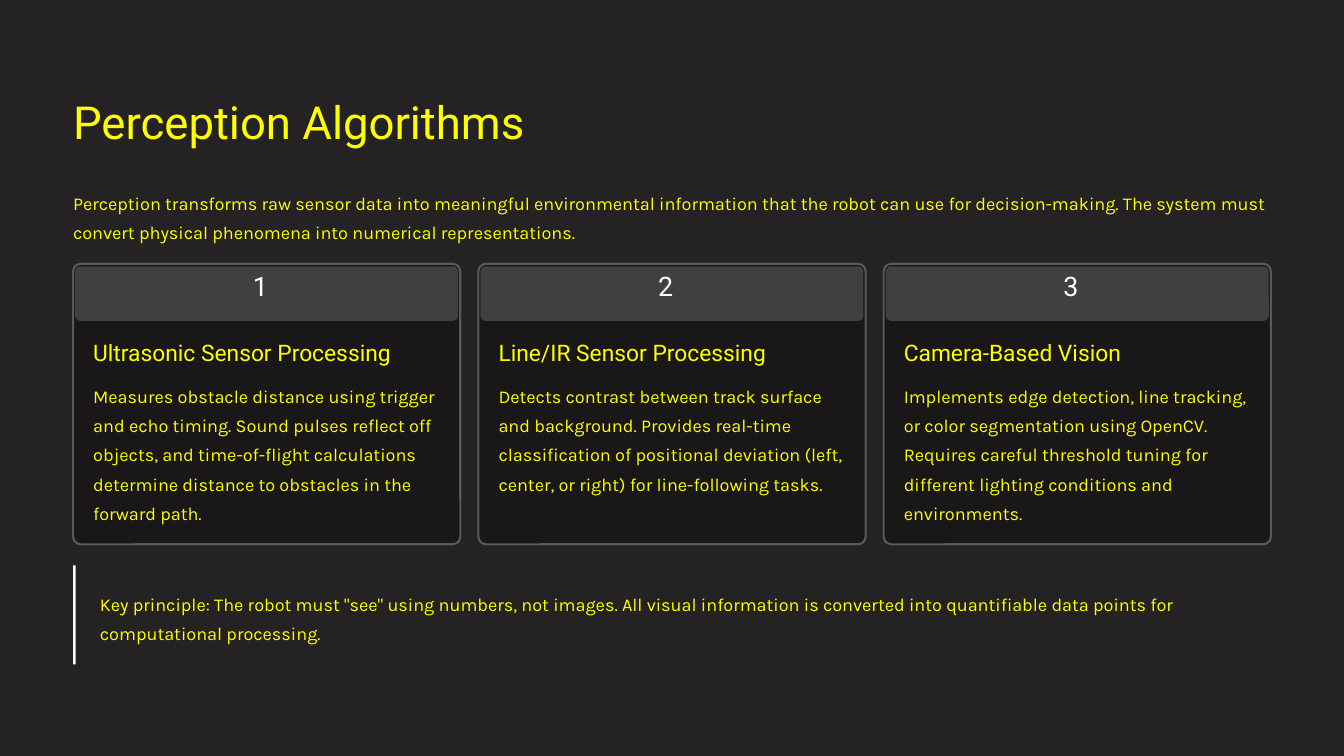
"""Build the Perception Algorithms slide."""
import pptx
import pptx.dml.color
import pptx.enum.shapes
import pptx.enum.text
import pptx.util

TITLE = "Perception Algorithms"
INTRO = (
    "Perception transforms raw sensor data into meaningful environmental information that the robot "
    "can use for decision-making. The system must convert physical phenomena into numerical "
    "representations."
)
METHODS = [
    ("Ultrasonic Sensor Processing",
     "Measures obstacle distance using trigger and echo timing. Sound pulses reflect off objects, and "
     "time-of-flight calculations determine distance to obstacles in the forward path."),
    ("Line/IR Sensor Processing",
     "Detects contrast between track surface and background. Provides real-time classification of "
     "positional deviation (left, center, or right) for line-following tasks."),
    ("Camera-Based Vision",
     "Implements edge detection, line tracking, or color segmentation using OpenCV. Requires careful "
     "threshold tuning for different lighting conditions and environments."),
]
PRINCIPLE = (
    'Key principle: The robot must "see" using numbers, not images. All visual information is '
    "converted into quantifiable data points for computational processing."
)

COLORS = {"background": "242222", "card": "191717", "border": "595959", "band": "404040",
          "text": "FFFF00", "accent": "FFFFFF"}
STYLES = {
    "title": ("Roboto", 39, 48.5, "text"),
    "number": ("Roboto", 23, 23, "accent"),
    "heading": ("Roboto", 19.5, 24, "text"),
    "body": ("Karla", 15.5, 25, "text"),
}
MARGIN = 0.87
CONTENT_WIDTH = 14.26
CARD_TOP = 3.14
CARD_WIDTH = 4.61
CARD_HEIGHT = 3.34
CARD_STEP = (CONTENT_WIDTH - CARD_WIDTH) / (len(METHODS) - 1)
SHAPES = pptx.enum.shapes.MSO_SHAPE


def color(name):
    return pptx.dml.color.RGBColor.from_string(COLORS[name])


def box(*lengths):
    return [pptx.util.Inches(length) for length in lengths]


def write(holder, text, style):
    font_name, size, spacing, ink = STYLES[style]
    frame = holder.text_frame
    frame.text = text
    frame.word_wrap = True
    frame.auto_size = pptx.enum.text.MSO_AUTO_SIZE.NONE
    frame.vertical_anchor = pptx.enum.text.MSO_ANCHOR.TOP
    frame.margin_left = frame.margin_right = frame.margin_top = frame.margin_bottom = 0
    paragraph = frame.paragraphs[0]
    paragraph.alignment = pptx.enum.text.PP_ALIGN.LEFT
    paragraph.space_before = pptx.util.Pt(0)
    paragraph.line_spacing = pptx.util.Pt(spacing)
    paragraph.font.name = font_name
    paragraph.font.size = pptx.util.Pt(size)
    paragraph.font.color.rgb = color(ink)


def add_text(slide, place, text, style):
    write(slide.shapes.add_textbox(*box(*place)), text, style)


def add_panel(slide, preset, place, fill, radius=None, border=None):
    panel = slide.shapes.add_shape(preset, *box(*place))
    panel.shadow.inherit = False
    panel.fill.solid()
    panel.fill.fore_color.rgb = color(fill)
    if radius is not None:
        panel.adjustments[0] = radius
    if border:
        panel.line.color.rgb = color(border)
        panel.line.width = pptx.util.Pt(1.8)
    else:
        panel.line.fill.background()


def add_card(slide, left, number, heading, description):
    add_panel(slide, SHAPES.ROUNDED_RECTANGLE, (left, CARD_TOP, CARD_WIDTH, CARD_HEIGHT),
              "card", 0.027, "border")
    add_panel(slide, SHAPES.ROUNDED_RECTANGLE, (left + 0.025, CARD_TOP + 0.03, 4.56, 0.65),
              "band", 0.094)
    add_text(slide, (left + 2.14, 3.28, 0.33, 0.41), str(number), "number")
    add_text(slide, (left + 0.24, 4.03, 4.13, 0.34), heading, "heading")
    add_text(slide, (left + 0.24, 4.5, 4.13, 1.74), description, "body")


def main():
    deck = pptx.Presentation()
    deck.slide_width, deck.slide_height = box(16, 9)
    slide = deck.slides.add_slide(deck.slide_layouts[5])
    slide.background.fill.solid()
    slide.background.fill.fore_color.rgb = color("background")

    title = slide.shapes.title
    title.left, title.top, title.width, title.height = box(MARGIN, 1.09, CONTENT_WIDTH, 0.68)
    write(title, TITLE, "title")
    add_text(slide, (MARGIN, 2.2, CONTENT_WIDTH, 0.69), INTRO, "body")

    for index, (heading, description) in enumerate(METHODS):
        add_card(slide, MARGIN + index * CARD_STEP, index + 1, heading, description)

    add_text(slide, (1.19, 6.97, 13.94, 0.69), PRINCIPLE, "body")
    add_panel(slide, SHAPES.RECTANGLE, (MARGIN, 6.73, 0.03, 1.18), "accent")
    deck.save("out.pptx")


if __name__ == "__main__":
    main()
